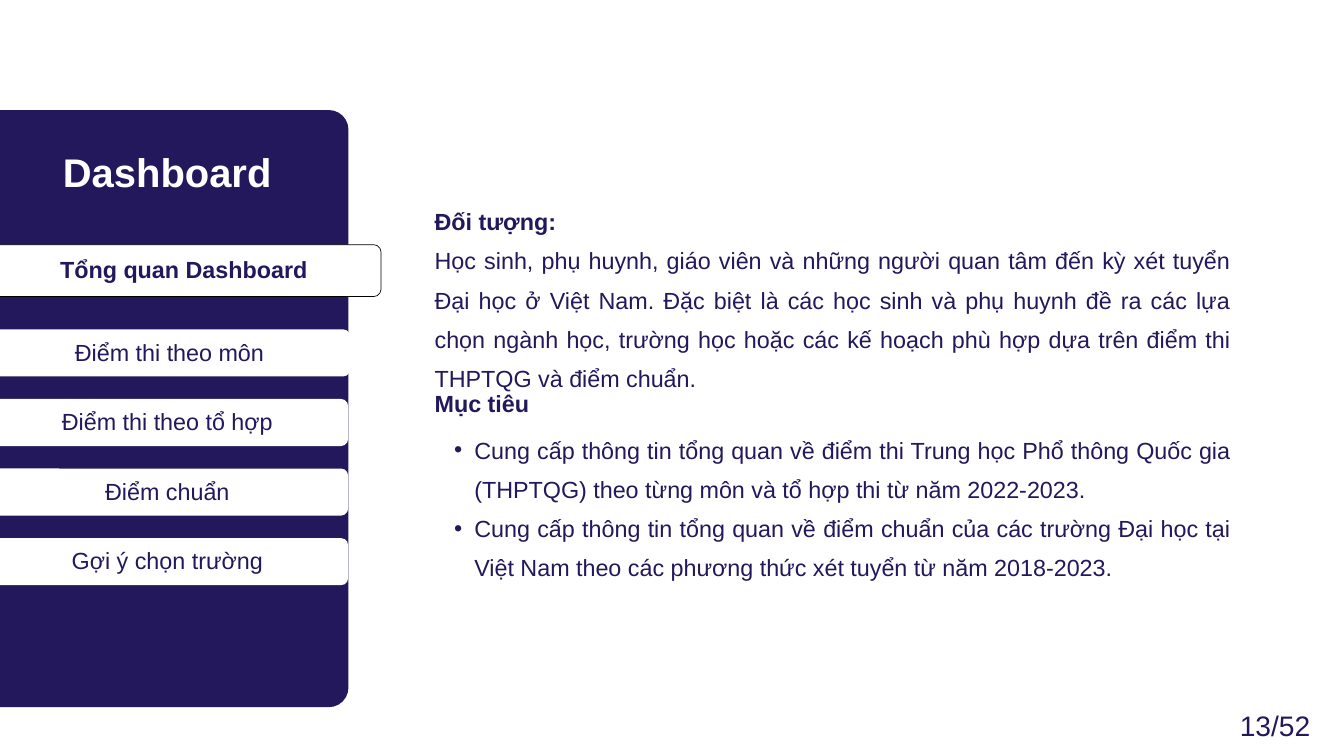
from lxml import etree
from pptx import Presentation
from pptx.dml.color import RGBColor
from pptx.enum.shapes import MSO_SHAPE
from pptx.enum.text import MSO_ANCHOR, PP_ALIGN
from pptx.oxml.ns import qn
from pptx.util import Cm, Pt

NAVY = RGBColor(0x23, 0x18, 0x5B)
WHITE = RGBColor(0xFF, 0xFF, 0xFF)
BLACK = RGBColor(0x00, 0x00, 0x00)
ROUND = MSO_SHAPE.ROUNDED_RECTANGLE
LEFT, MID, RIGHT, EVEN = PP_ALIGN.LEFT, PP_ALIGN.CENTER, PP_ALIGN.RIGHT, PP_ALIGN.JUSTIFY
TOP, CENTER = MSO_ANCHOR.TOP, MSO_ANCHOR.MIDDLE

LIFT = 0.5  # how far a label's box rises above its tab
TABS = ["Điểm thi theo môn", "Điểm thi theo tổ hợp", "Điểm chuẩn", "Gợi ý chọn trường"]
USERS = (
    "Học sinh, phụ huynh, giáo viên và những người quan tâm đến kỳ xét tuyển "
    "Đại học ở Việt Nam. Đặc biệt là các học sinh và phụ huynh đề ra các lựa "
    "chọn ngành học, trường học hoặc các kế hoạch phù hợp dựa trên điểm thi "
    "THPTQG và điểm chuẩn."
)
GOALS = [
    "Cung cấp thông tin tổng quan về điểm thi Trung học Phổ thông Quốc gia "
    "(THPTQG) theo từng môn và tổ hợp thi từ năm 2022-2023.",
    "Cung cấp thông tin tổng quan về điểm chuẩn của các trường Đại học tại "
    "Việt Nam theo các phương thức xét tuyển từ năm 2018-2023.",
]


def add_bullet(para):
    props = para._p.get_or_add_pPr()
    props.set("marL", str(Cm(1.5)))
    props.set("indent", str(Cm(-0.76)))
    color = etree.SubElement(props, qn("a:buClr"))
    etree.SubElement(color, qn("a:srgbClr")).set("val", str(NAVY))
    etree.SubElement(props, qn("a:buFont")).set("typeface", "Arial")
    etree.SubElement(props, qn("a:buChar")).set("char", "•")


def add_text(slide, box, lines, align, size=25, color=NAVY, anchor=TOP,
             inset=0, space=1.4, bullet=False):
    """Place a text box; lines holds one (text, bold) pair per paragraph."""
    frame = slide.shapes.add_textbox(*map(Cm, box)).text_frame
    frame.word_wrap = True
    frame.vertical_anchor = anchor
    frame.margin_left = frame.margin_right = Cm(inset)
    frame.margin_top = frame.margin_bottom = Cm(inset)
    for i, (text, bold) in enumerate(lines):
        para = frame.add_paragraph() if i else frame.paragraphs[0]
        para.alignment = align
        para.line_spacing = space
        if bullet:
            para.level = 1
            add_bullet(para)
        run = para.add_run()
        run.text = text
        font = run.font
        font.name, font.size, font.bold = "Arial", Pt(size), bold
        font.color.rgb = color


def add_card(slide, box, fill, radius, line=None):
    card = slide.shapes.add_shape(ROUND, *map(Cm, box))
    card.shadow.inherit = False
    card.adjustments[0] = radius / min(box[2:])
    card.fill.solid()
    card.fill.fore_color.rgb = fill
    if line is None:
        card.line.fill.background()
    else:
        card.line.color.rgb = line
        card.line.width = Pt(0.75)


def add_tab(slide, box, label, active=False):
    left, top, width, height = box
    add_card(slide, box, WHITE, 0.27, BLACK if active else None)
    add_text(slide, (left, top - LIFT, width, height + LIFT), [(label, active)],
             MID, anchor=CENTER, inset=0.15)


def add_menu(slide, box):
    left, top, width, _ = box
    add_card(slide, box, NAVY, 0.74)
    add_text(slide, (left + 2.65, top + 0.08, 11.79, 3.76), [("Dashboard", True)],
             MID, size=42.8, color=WHITE, anchor=CENTER, inset=0.15)
    edge = left + 1.71
    add_tab(slide, (edge, top + 5.09, width - 0.48, 1.96), "Tổng quan Dashboard", True)
    for i, label in enumerate(TABS):
        shift = 0 if i else 0.08
        add_tab(slide, (edge + shift, top + 8.29 + 2.63 * i, 13.67, 1.78), label)


def add_body(slide, box):
    left, top, width, _ = box
    add_text(slide, (left, top, width, 7.29),
             [("Đối tượng:", True), (USERS, False)], EVEN)
    add_text(slide, (left, top + 6.85, width, 1.19), [("Mục tiêu", True)], LEFT)
    add_text(slide, (left, top + 8.63, width, 4.85),
             [(goal, False) for goal in GOALS], EVEN, bullet=True)


def main():
    deck = Presentation()
    deck.slide_width, deck.slide_height = Cm(50.8), Cm(28.575)
    slide = deck.slides.add_slide(deck.slide_layouts[6])
    add_menu(slide, (-2.22, 4.16, 15.39, 22.57))
    add_body(slide, (16.43, 7.42, 30.07, 13.48))
    add_text(slide, (41.78, 26.31, 7.75, 1.37), [("13/52", False)], RIGHT,
             size=30.2, space=1.35)
    deck.save("out.pptx")


if __name__ == "__main__":
    main()
